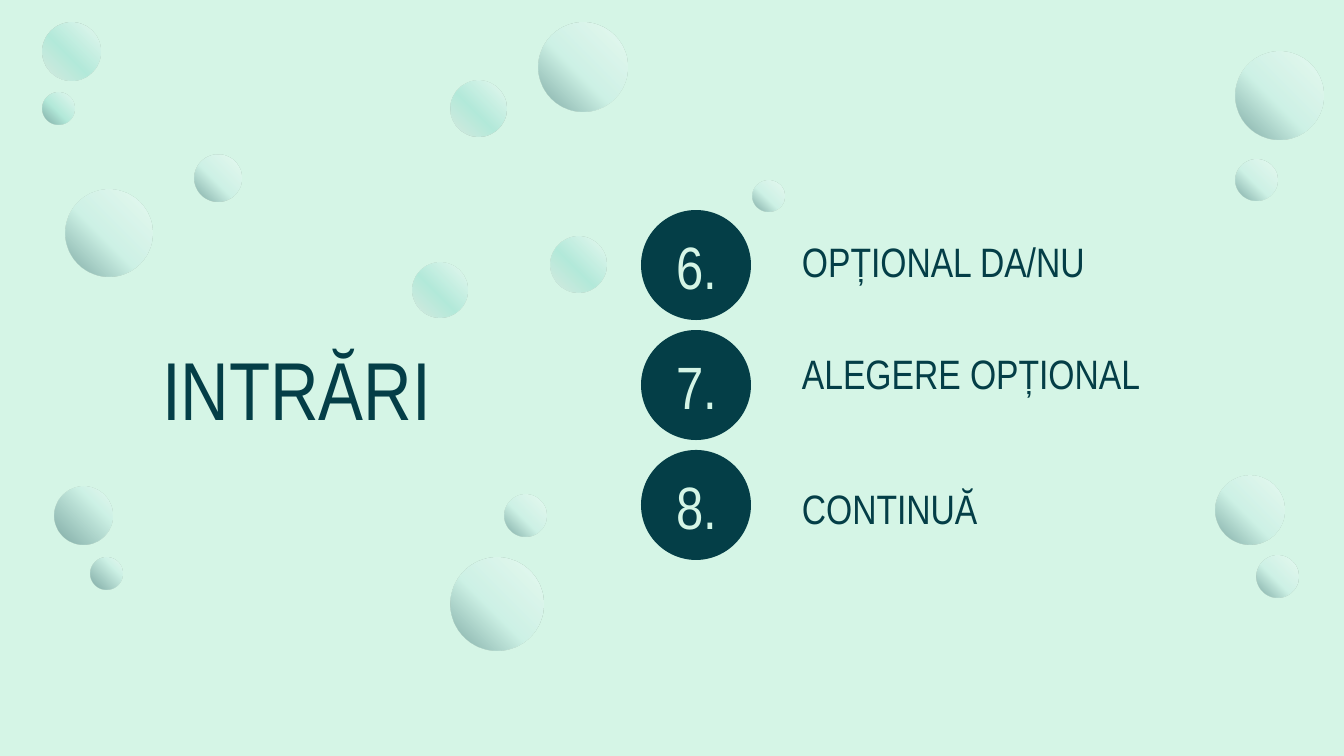
from lxml import etree
from pptx import Presentation
from pptx.dml.color import RGBColor
from pptx.enum import shapes, text
from pptx.oxml import ns

PX = 914400 / 134.4
FONT = "Arial Narrow"
MINT = RGBColor(0xD5, 0xF5, 0xE6)
TEAL = RGBColor(0x04, 0x3E, 0x47)
WHITE = RGBColor(0xFF, 0xFF, 0xFF)
AQUA = RGBColor(0xC1, 0xEC, 0xE4)
GREEN = RGBColor(0x82, 0xD9, 0xC8)
GRAY = RGBColor(0xD9, 0xD9, 0xD9)

# Gradient stops: position in percent and colour
PALE = [(0, WHITE), (56, AQUA), (100, TEAL)]
DEEP = [(0, WHITE), (31, AQUA), (100, TEAL)]
VIVID = [(0, WHITE), (56, GREEN), (100, TEAL)]
SOFT = [(0, WHITE), (56, GREEN), (100, GRAY)]


def add_circle(left, top, size, stops=None):
    shape = slide.shapes.add_shape(
        shapes.MSO_SHAPE.OVAL, *(round(v * PX) for v in (left, top, size, size)))
    shape.shadow.inherit = False
    shape.line.fill.background()
    shape.fill.solid()
    shape.fill.fore_color.rgb = TEAL
    if stops:
        stop_xml = "".join(
            f'<a:gs pos="{position * 1000}"><a:srgbClr val="{color}">'
            '<a:alpha val="41000"/></a:srgbClr></a:gs>' for position, color in stops)
        gradient = etree.fromstring(
            f'<a:gradFill {ns.nsdecls("a")} rotWithShape="1"><a:gsLst>{stop_xml}</a:gsLst>'
            '<a:path path="circle"><a:fillToRect l="100000" b="100000"/></a:path>'
            '<a:tileRect t="-100000" r="-100000"/></a:gradFill>')
        properties = shape.element.spPr
        properties.replace(properties.find(ns.qn("a:solidFill")), gradient)


def write(shape, box, words, size, color, align, anchor, side, vertical):
    shape.left, shape.top, shape.width, shape.height = (round(v * PX) for v in box)
    frame = shape.text_frame
    frame.word_wrap = True
    frame.auto_size = text.MSO_AUTO_SIZE.NONE
    frame.vertical_anchor = anchor
    frame.margin_left = frame.margin_right = round(side * PX)
    frame.margin_top = frame.margin_bottom = round(vertical * PX)
    paragraph = frame.paragraphs[0]
    paragraph.alignment = align
    run = paragraph.add_run()
    run.text = words
    run.font.name = FONT
    run.font.size = size * 12700
    run.font.color.rgb = color


presentation = Presentation()
presentation.slide_width = round(1344 * PX)
presentation.slide_height = round(756 * PX)
slide = presentation.slides.add_slide(presentation.slide_layouts[5])
slide.background.fill.solid()
slide.background.fill.fore_color.rgb = MINT

# Bubbles
for left, top, size, stops in [
    (1257, 556, 41, PALE), (1216, 476, 68, PALE), (1236, 52, 88, PALE),
    (1236, 160, 41, PALE), (539, 23, 88, PALE), (43, 93, 31, VIVID),
    (43, 23, 58, SOFT), (55, 487, 58, DEEP), (91, 558, 31, DEEP),
    (413, 263, 55, SOFT), (451, 81, 55, SOFT), (505, 495, 41, PALE),
    (753, 181, 31, PALE), (451, 558, 92, PALE), (195, 155, 47, PALE),
    (66, 190, 86, PALE), (551, 237, 55, SOFT),
]:
    add_circle(left, top, size, stops)

# Title
write(slide.shapes.title, (149, 331, 474, 113), "INTRĂRI", 44, TEAL,
      text.PP_ALIGN.LEFT, text.MSO_ANCHOR.TOP, 13, 7)

# Numbered entries
entries = [("6.", "OPȚIONAL DA/NU", 223), ("7.", "ALEGERE OPȚIONAL", 335),
           ("8.", "CONTINUĂ", 470)]
for index, (number, label, label_top) in enumerate(entries):
    top = 210 + 120 * index
    add_circle(641, top, 110)
    write(slide.shapes.add_textbox(0, 0, 0, 0), (645, top + 7, 103, 97), number, 32, MINT,
          text.PP_ALIGN.CENTER, text.MSO_ANCHOR.MIDDLE, 0, 13)
    write(slide.shapes.add_textbox(0, 0, 0, 0), (789, label_top, 454, 66), label, 22, TEAL,
          text.PP_ALIGN.LEFT, text.MSO_ANCHOR.TOP, 13, 13)

presentation.save("out.pptx")
